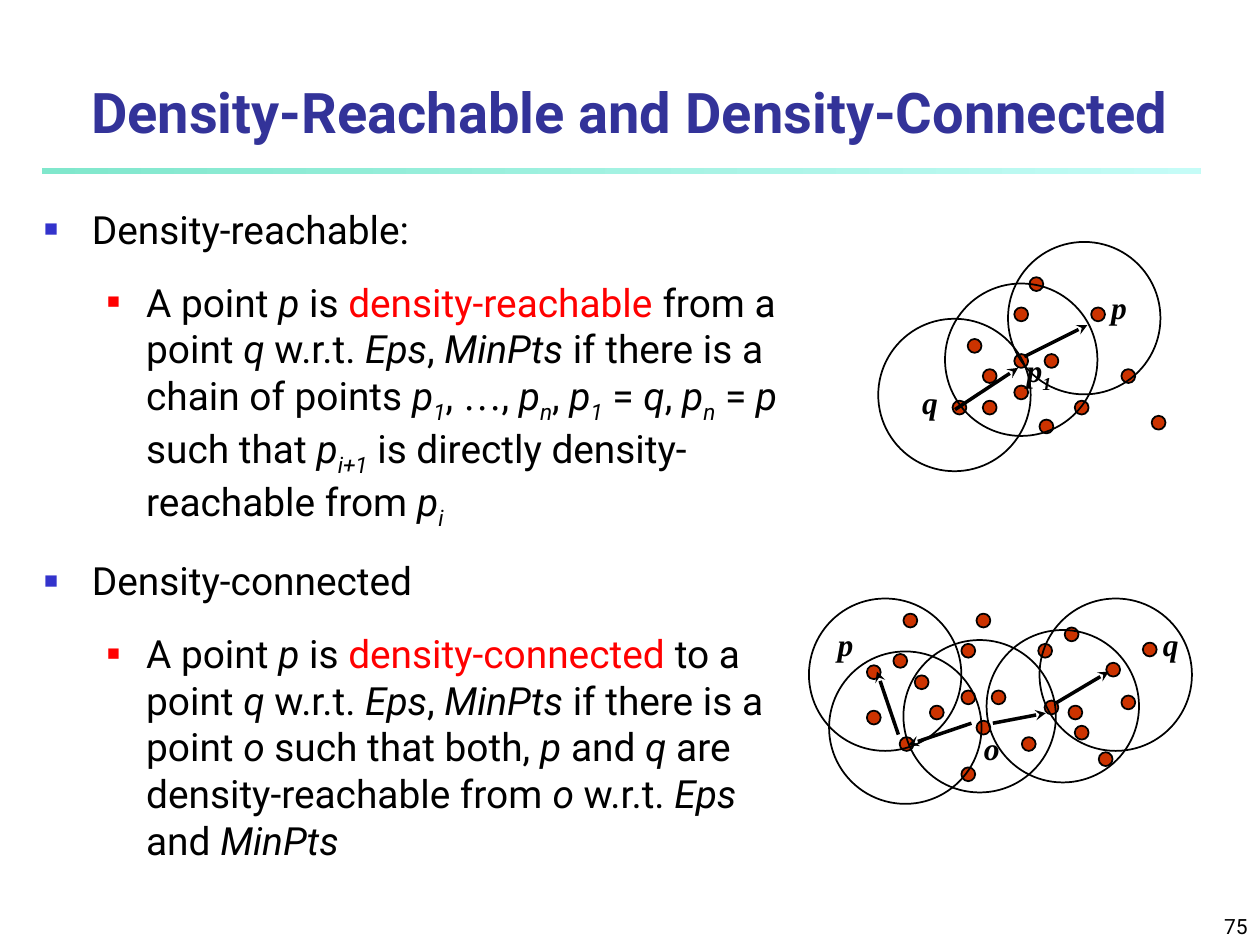
from lxml.etree import SubElement as Sub
from pptx import Presentation as Deck
from pptx.dml.color import RGBColor as Rgb
from pptx.enum.shapes import MSO_CONNECTOR as Link, MSO_SHAPE as Form
from pptx.enum.text import MSO_ANCHOR as Anchor, MSO_AUTO_SIZE as Auto, PP_ALIGN as Align
from pptx.oxml.ns import qn
from pptx.util import Inches, Pt

COLS, ROWS = 100, 75
SANS, SERIF = "Roboto", "Times New Roman"
BLACK, RED, NAVY, BLUE, RUST = "000000", "FF0000", "333399", "3333CC", "CC3300"
MARKS = {
    "*": {"italic": True},
    "_": {"italic": True, "sub": True},
    "!": {"color": RED},
    "~": {"font": SERIF},
}
LEVELS = [
    {"left": 0.38, "hang": 0.38, "color": BLUE, "scale": 60},
    {"left": 0.81, "hang": 0.31, "color": RED, "scale": 55},
]
LIST = [
    (0, "Density-reachable:"),
    (1, "A point |*p| is |!density-reachable| from a point |*q| w.r.t. |*Eps|, |*MinPts"
        "| if there is a chain of points |*p|_1|, |~…|, |*p|_n|, |*p|_1| = |*q|, |*p|_n| = |*p"
        "| such that |*p|_i+1| is directly density-reachable from |*p|_i"),
    (0, "Density-connected"),
    (1, "A point |*p| is |!density-connected| to a point |*q| w.r.t. |*Eps|, |*MinPts"
        "| if there is a point |*o |such that both, |*p| and |*q"
        "| are density-reachable from |*o| w.r.t. |*Eps| and |*MinPts"),
]
CLOUD = [
    (76.8, 26.9), (80.5, 28.1), (80.5, 24.4), (75.6, 31.8), (78, 29.3), (81.7, 22),
    (89, 29.3), (86.6, 24.4), (82.9, 28.1), (85.3, 31.8), (91.4, 33),
]
SHIFT = (-4.2, 26.7)


def tint(code):
    """Turn a hex string into a colour."""
    return Rgb.from_string(code)


def write(para, text, size=18, font=SANS, color=BLACK, bold=False, italic=False, sub=False):
    """Add one formatted run to a paragraph."""
    run = para.add_run()
    run.text = text
    face = run.font
    face.size, face.name, face.bold, face.italic = Pt(size), font, bold, italic
    face.color.rgb = tint(color)
    if sub:
        run._r.get_or_add_rPr().set("baseline", "-25000")


def rich(para, text, **style):
    """Write text whose pieces, split by bars, may start with a style mark."""
    for piece in text.split("|"):
        mark = MARKS.get(piece[0])
        write(para, piece[1:] if mark else piece, **{**style, **(mark or {})})


def bullet(para, left, hang, color, scale):
    """Give a paragraph its indent and square bullet."""
    props = para._p.get_or_add_pPr()
    props.set("marL", str(Inches(left)))
    props.set("indent", str(-Inches(hang)))
    Sub(Sub(props, qn("a:buClr")), qn("a:srgbClr"), val=color)
    Sub(props, qn("a:buSzPct"), val=str(scale * 1000))
    Sub(props, qn("a:buChar"), char="■")


class Board:
    """Hold the style and the current slide, and draw on its grid."""

    def __init__(self, deck):
        """Start a slide on the title and content layout."""
        self.wide, self.high = deck.slide_width / COLS, deck.slide_height / ROWS
        self.slide = deck.slides.add_slide(deck.slide_layouts[1])
        self.pen = self.slide.shapes

    def at(self, *spots):
        """Turn alternating columns and rows into lengths."""
        units = (self.wide, self.high) * 2
        return [round(spot * unit) for spot, unit in zip(spots, units)]

    def group(self):
        """Draw what follows inside a new group."""
        self.pen = self.slide.shapes.add_group_shape().shapes

    def holder(self, index, box, anchor):
        """Move a placeholder and return its text frame."""
        item = self.slide.placeholders[index]
        item.left, item.top, item.width, item.height = self.at(*box)
        frame = item.text_frame
        frame.word_wrap, frame.auto_size = True, Auto.NONE
        frame.vertical_anchor = anchor
        return frame

    def title(self, text, box):
        """Fill the title."""
        para = self.holder(0, box, Anchor.MIDDLE).paragraphs[0]
        para.alignment = Align.CENTER
        write(para, text, size=32, color=NAVY, bold=True)

    def body(self, items, box):
        """Fill the bulleted list."""
        frame = self.holder(1, box, Anchor.TOP)
        for place, (level, text) in enumerate(items):
            para = frame.add_paragraph() if place else frame.paragraphs[0]
            para.level = level
            bullet(para, **LEVELS[level])
            para.space_before = Pt(15 if place else 0)
            rich(para, text, size=22.2)

    def bar(self, box, start, end):
        """Draw a rule that fades from left to right."""
        item = self.pen.add_shape(Form.RECTANGLE, *self.at(*box))
        item.shadow.inherit = False
        item.line.fill.background()
        item.fill.gradient()
        item.fill.gradient_angle = 0
        for stop, code in zip(item.fill.gradient_stops, (start, end)):
            stop.color.rgb = tint(code)

    def disc(self, col, row, size, color=None):
        """Draw an outlined circle, filled if a colour is given."""
        item = self.pen.add_shape(Form.OVAL, *self.at(col, row, size, size))
        item.shadow.inherit = False
        item.line.color.rgb, item.line.width = tint(BLACK), Pt(1)
        if color:
            item.fill.solid()
            item.fill.fore_color.rgb = tint(color)
        else:
            item.fill.background()

    def dots(self, spots, shift=(0, 0)):
        """Draw data points."""
        for col, row in spots:
            self.disc(col + shift[0], row + shift[1], 1.1, RUST)

    def rings(self, *spots):
        """Draw neighbourhoods."""
        for col, row in spots:
            self.disc(col, row, 12.1)

    def arrow(self, *ends):
        """Draw an arrow from the first point to the second."""
        item = self.pen.add_connector(Link.STRAIGHT, *self.at(*ends))
        item.line.color.rgb, item.line.width = tint(BLACK), Pt(2)
        Sub(item.line._get_or_add_ln(), qn("a:tailEnd"), type="stealth")
        Sub(item._element.spPr, qn("a:effectLst"))

    def label(self, text, col, row, wide=4.2, high=4, align=Align.LEFT, anchor=Anchor.TOP, **style):
        """Place a short text."""
        frame = self.pen.add_textbox(*self.at(col, row, wide, high)).text_frame
        frame.word_wrap, frame.vertical_anchor = True, anchor
        frame.paragraphs[0].alignment = align
        rich(frame.paragraphs[0], text, **style)


def main():
    """Build the slide and save it."""
    deck = Deck()
    deck.slide_width, deck.slide_height = Inches(10), Inches(7.5)
    board = Board(deck)
    name = {"font": SERIF, "bold": True, "italic": True}

    board.bar((3.3, 13.3, 92, 0.5), "80E7CC", "C5FCF7")
    board.title("Density-Reachable and Density-Connected", (0, 4.2, 100, 9.2))
    board.body(LIST, (2.5, 15.8, 61.7, 55))
    board.label("75", 79.2, 70.8, 20.8, 4.2, Align.RIGHT, Anchor.BOTTOM, size=12)

    board.dots(CLOUD + [(78, 31.8), (82.5, 33.3), (80.5, 30.6)])
    board.rings((75, 22.5), (69.7, 25.3), (80, 19.2))
    board.arrow(81.3, 28.3, 86.3, 25.8)
    board.arrow(75.8, 32.5, 80.8, 29.2)
    board.label("p", 87.2, 22.4, **name)
    board.label("q", 72.2, 29.9, **name)
    board.label("p|_1", 80.5, 27.4, 6.7, 4.4, **name)

    board.group()
    board.dots(CLOUD, SHIFT)
    board.dots([
        (76.3, 60.9), (77.5, 57.2), (68.8, 56.4), (89, 55.2), (82.9, 55.6), (85.3, 57.6),
        (90.7, 51), (84.5, 49.8), (87.8, 52.6), (70.9, 51.9), (68.8, 52.8), (71.7, 48.7),
    ])
    board.rings((65.8, 51.7), (71.7, 50.8), (78.3, 50), (82.5, 47.5), (64.2, 47.5))
    board.arrow(77.1, 57.4, 72.1, 59.1)
    board.arrow(78.8, 57.4, 83, 56.6)
    board.arrow(71.3, 58.3, 69.6, 53.3)
    board.arrow(83.8, 55.8, 88, 53.3)
    board.label("p", 65.5, 49.1, **name)
    board.label("q", 91.3, 49.1, **name)
    board.label("o", 77.1, 57.4, **name)
    deck.save("out.pptx")


if __name__ == "__main__":
    main()
